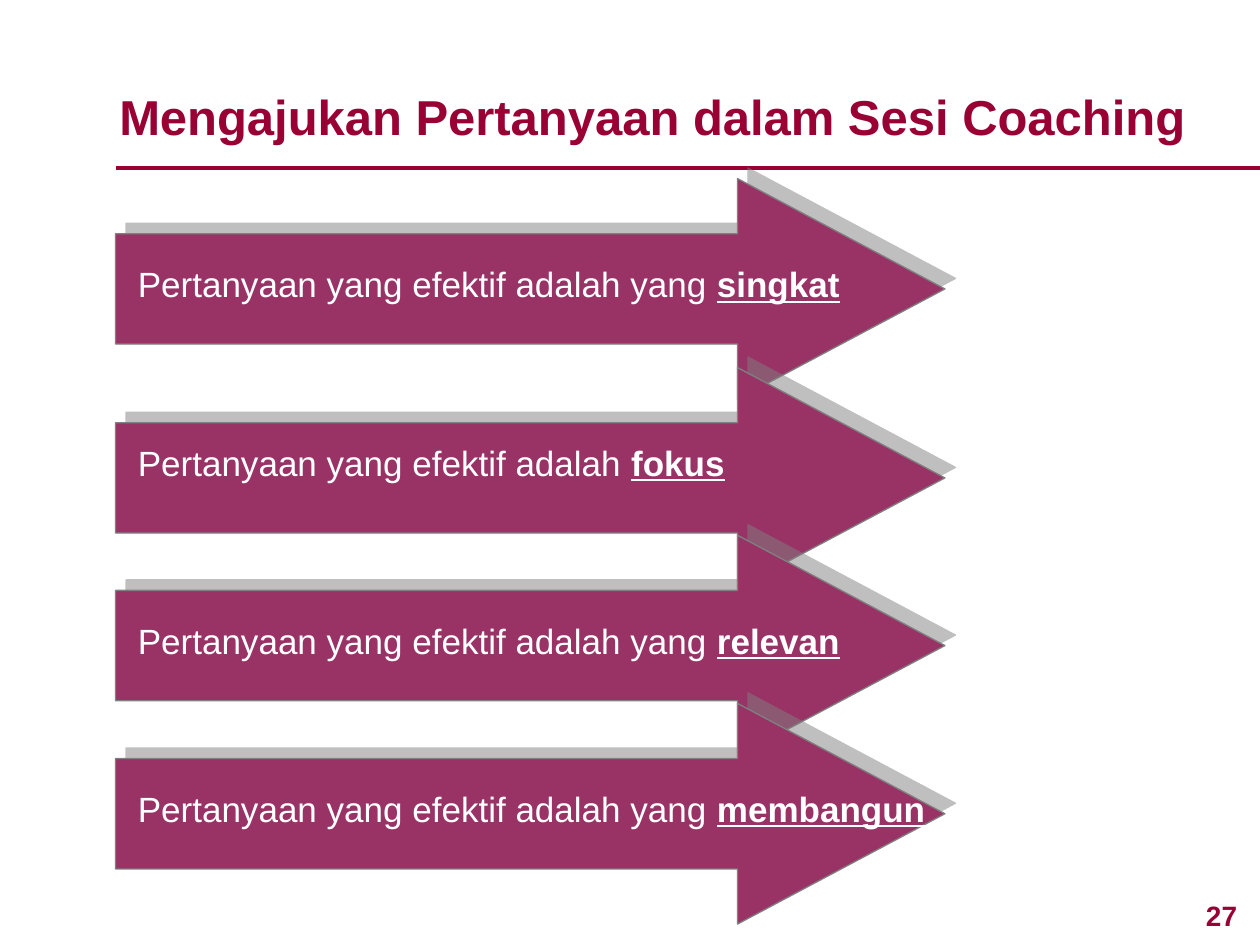
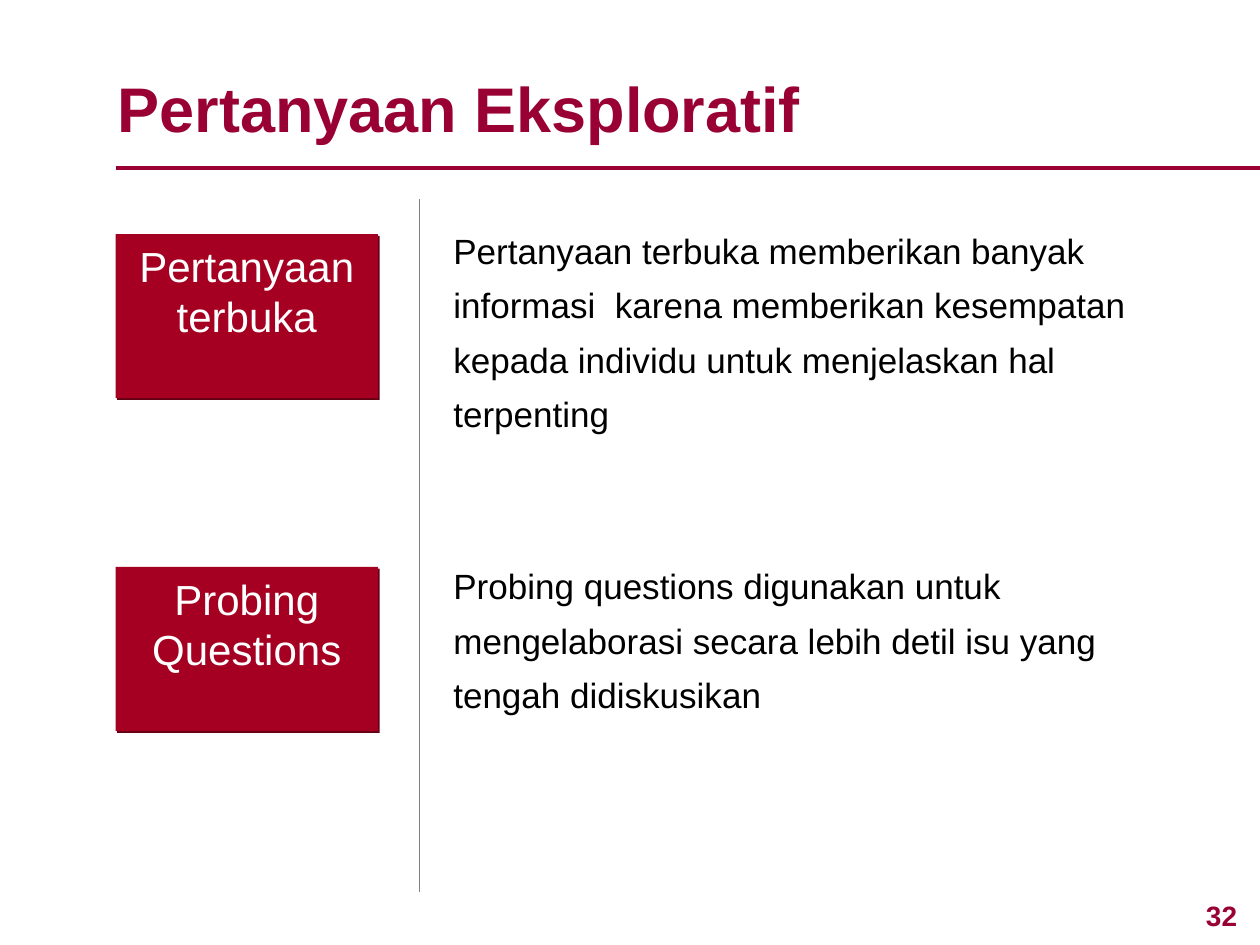
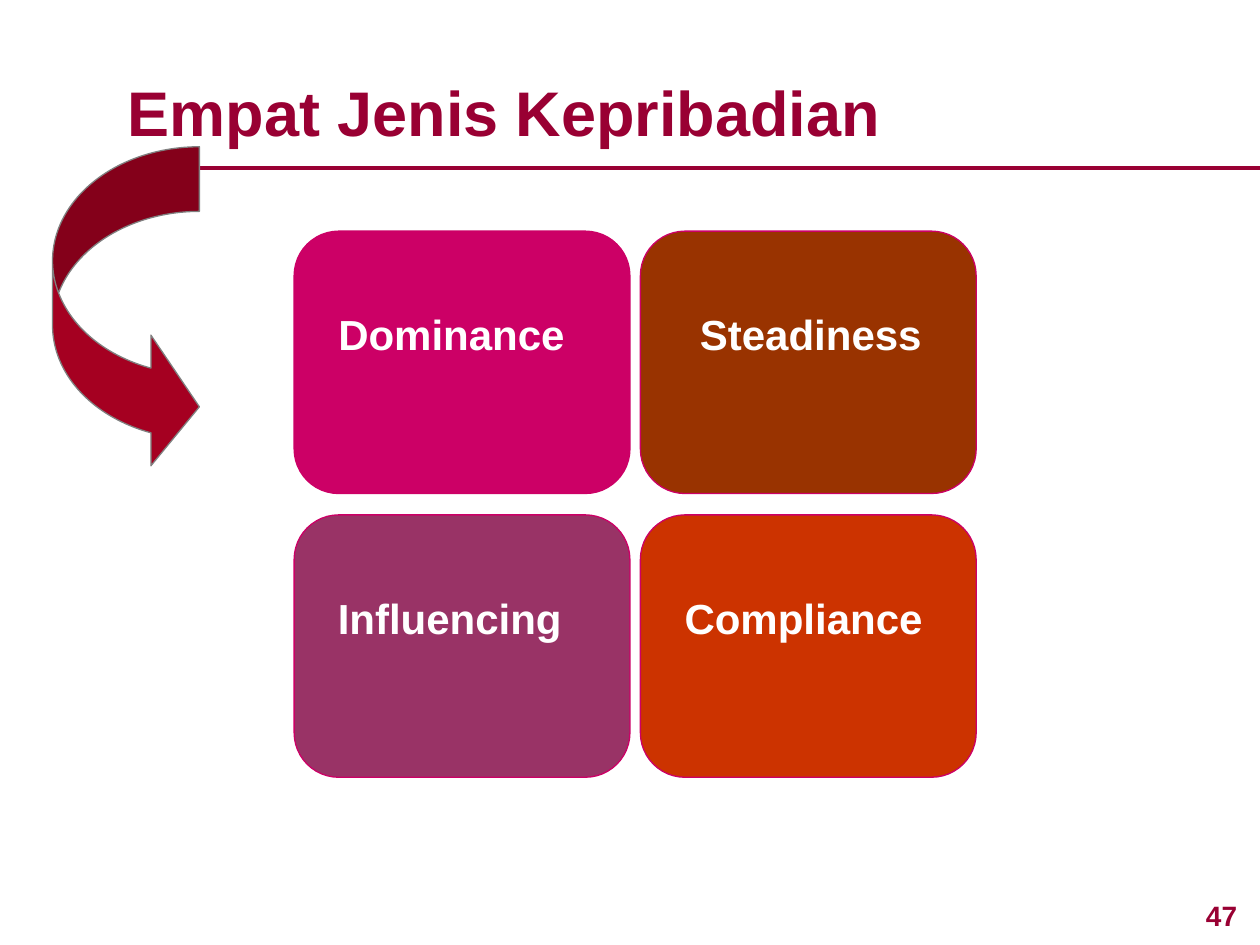
from lxml.etree import SubElement
from pptx import Presentation
from pptx.dml.color import RGBColor
from pptx.enum.shapes import MSO_CONNECTOR, MSO_SHAPE
from pptx.enum.text import MSO_ANCHOR, MSO_AUTO_SIZE, PP_ALIGN
from pptx.oxml.ns import qn
from pptx.util import Cm, Pt

# Colours and font
FONT = "Arial"
MAROON = RGBColor(0x99, 0x00, 0x33)
CRIMSON = RGBColor(0xA5, 0x00, 0x21)
DARK_CRIMSON = RGBColor(0x63, 0x00, 0x14)
PLUM = RGBColor(0x99, 0x33, 0x66)
MAGENTA = RGBColor(0xCC, 0x00, 0x66)
BROWN = RGBColor(0x99, 0x33, 0x00)
ORANGE = RGBColor(0xCC, 0x33, 0x00)
GREY = RGBColor(0x80, 0x80, 0x80)
WHITE = RGBColor(0xFF, 0xFF, 0xFF)
BLACK = RGBColor(0x00, 0x00, 0x00)

# Content; all lengths are centimetres
LEFT_EDGE = 2.33
THIN_LINE = 0.74
TITLE_ONLY_LAYOUT = 5

# Opening words, stressed word, arrow top, text top, text width
QUESTION_ARROWS = [
    ("Pertanyaan yang efektif adalah yang ", "singkat", 3.6, 5.16, 14.66),
    ("Pertanyaan yang efektif adalah ", "fokus", 7.41, 8.76, 12.36),
    ("Pertanyaan yang efektif adalah yang ", "relevan", 10.79, 12.35, 14.66),
    ("Pertanyaan yang efektif adalah yang ", "membangun", 14.18, 15.74, 16.38),
]

# Term, explanation, top of the term box, top of the explanation
QUESTION_TYPES = [
    ("Pertanyaan terbuka",
     "Pertanyaan terbuka memberikan banyak informasi  karena memberikan "
     "kesempatan kepada individu untuk menjelaskan hal terpenting", 4.72, 4.24),
    ("Probing Questions",
     "Probing questions digunakan untuk mengelaborasi secara lebih detil isu "
     "yang tengah didiskusikan", 11.43, 11),
]

# Name, fill, column, row, label left, label width
PERSONALITIES = [
    ("Dominance", MAGENTA, 0, 0, 6.57, 5.09),
    ("Influencing", PLUM, 0, 1, 6.56, 5.05),
    ("Steadiness", BROWN, 1, 0, 13.86, 4.99),
    ("Compliance", ORANGE, 1, 1, 13.55, 5.32),
]


# Helpers
def add_run(paragraph, text, size, color, bold=False, underline=False):
    run = paragraph.add_run()
    run.text = text
    font = run.font
    font.name, font.size, font.bold = FONT, Pt(size), bold
    font.color.rgb = color
    if underline:
        font.underline = True


def add_text_box(slide, left, top, width, height, wrap=True, anchor=MSO_ANCHOR.TOP):
    """Add an empty text box and return its first paragraph."""
    box = slide.shapes.add_textbox(Cm(left), Cm(top), Cm(width), Cm(height))
    frame = box.text_frame
    frame.word_wrap = wrap
    frame.auto_size = MSO_AUTO_SIZE.SHAPE_TO_FIT_TEXT
    frame.vertical_anchor = anchor
    return frame.paragraphs[0]


def add_preset(slide, preset, left, top, width, height, fill, line=None, adjustments=()):
    shape = slide.shapes.add_shape(preset, Cm(left), Cm(top), Cm(width), Cm(height))
    shape.shadow.inherit = False
    shape.fill.solid()
    shape.fill.fore_color.rgb = fill
    if line is None:
        shape.line.fill.background()
    else:
        shape.line.color.rgb = line
        shape.line.width = Pt(THIN_LINE)
    for index, value in enumerate(adjustments):
        shape.adjustments[index] = value
    return shape


def add_shadow(shape, color, opacity, distance, angle):
    effects = shape.element.spPr.find(qn("a:effectLst"))
    shadow = SubElement(effects, qn("a:outerShdw"), dist=str(Pt(distance)),
                        dir=str(angle * 60000), algn="ctr", rotWithShape="0")
    shade = SubElement(shadow, qn("a:srgbClr"), val=str(color))
    SubElement(shade, qn("a:alpha"), val=str(opacity * 1000))


def add_line(slide, start, end, color, width):
    line = slide.shapes.add_connector(
        MSO_CONNECTOR.STRAIGHT, *(Cm(value) for value in start + end))
    line.line.color.rgb = color
    line.line.width = Pt(width)
    SubElement(line.element.spPr, qn("a:effectLst"))
    return line


def add_slide(title, number, place, size, wrap=True, line_spacing=1.0):
    """Add a slide with its title and page number."""
    slide = presentation.slides.add_slide(layout)
    heading = slide.shapes.title
    heading.left, heading.top, heading.width, heading.height = map(Cm, place)
    frame = heading.text_frame
    frame.word_wrap = wrap
    frame.auto_size = MSO_AUTO_SIZE.NONE
    frame.vertical_anchor = MSO_ANCHOR.TOP
    paragraph = frame.paragraphs[0]
    paragraph.alignment = PP_ALIGN.LEFT
    paragraph.line_spacing = line_spacing
    add_run(paragraph, title, size, MAROON, bold=True)

    paragraph = add_text_box(slide, 23.85, 17.98, 1.55, 0.94)
    paragraph.alignment = PP_ALIGN.CENTER
    add_run(paragraph, str(number), 16, MAROON, bold=True)
    return slide


presentation = Presentation()
presentation.slide_width, presentation.slide_height = Cm(25.4), Cm(19.05)
layout = presentation.slide_layouts[TITLE_ONLY_LAYOUT]

# Slide 1: four question arrows, then their texts on top
slide = add_slide("Mengajukan Pertanyaan dalam Sesi Coaching", 27,
                  (2.15, 1.61, 22, 1.45), 28, wrap=False)

# The rule under the title belongs to the layout, so every slide shows it
rule = add_line(slide, (LEFT_EDGE, 3.39), (25.4, 3.39), MAROON, 2.24)
layout.shapes.element.append(rule.element)

for _, _, arrow_top, _, _ in QUESTION_ARROWS:
    arrow = add_preset(slide, MSO_SHAPE.RIGHT_ARROW, LEFT_EDGE, arrow_top, 16.72, 4.45,
                       PLUM, GREY, (0.5, 0.94))
    add_shadow(arrow, GREY, 50, 8.5, 315)
for opening, stressed, _, text_top, text_width in QUESTION_ARROWS:
    paragraph = add_text_box(slide, 2.53, text_top, text_width, 1.12,
                             wrap=False, anchor=MSO_ANCHOR.MIDDLE)
    add_run(paragraph, opening, 20, WHITE)
    add_run(paragraph, stressed, 20, WHITE, bold=True, underline=True)

# Slide 2: terms on the left, explanations on the right
slide = add_slide("Pertanyaan Eksploratif", 32, (2.12, 1.27, 18.2, 1.78), 36)
for term, explanation, box_top, text_top in QUESTION_TYPES:
    box = add_preset(slide, MSO_SHAPE.RECTANGLE, LEFT_EDGE, box_top, 5.29, 3.31, CRIMSON)
    add_shadow(box, DARK_CRIMSON, 100, 1.4, 45)
    box.text_frame.word_wrap = True
    box.text_frame.vertical_anchor = MSO_ANCHOR.TOP
    paragraph = box.text_frame.paragraphs[0]
    paragraph.alignment = PP_ALIGN.CENTER
    add_run(paragraph, term, 24, WHITE)

    paragraph = add_text_box(slide, 8.89, text_top, 15.67, 4.67)
    paragraph.line_spacing = 1.3
    add_run(paragraph, explanation, 20, BLACK)
add_line(slide, (8.46, 4.02), (8.46, 17.99), GREY, THIN_LINE)

# Slide 3: curved arrow and a two by two grid of personalities
slide = add_slide("Empat Jenis Kepribadian", 47, (2.32, 1.06, 22.43, 2.08), 36,
                  line_spacing=1.2)
add_preset(slide, MSO_SHAPE.CURVED_RIGHT_ARROW, 1.06, 2.96, 2.96, 6.56,
           CRIMSON, GREY, (0.44, 0.89, 0.33))

GRID_LEFT, GRID_TOP = 5.93, 4.66
CARD_WIDTH, CARD_HEIGHT = 6.77, 5.29
COLUMN_GAP, ROW_GAP = 0.21, 0.43
for name, fill, column, row, label_left, label_width in PERSONALITIES:
    left = GRID_LEFT + column * (CARD_WIDTH + COLUMN_GAP)
    top = GRID_TOP + row * (CARD_HEIGHT + ROW_GAP)
    add_preset(slide, MSO_SHAPE.ROUNDED_RECTANGLE, left, top, CARD_WIDTH, CARD_HEIGHT,
               fill, MAGENTA, (0.17,))
    paragraph = add_text_box(slide, label_left, top + 1.44, label_width, 1.27, wrap=False)
    add_run(paragraph, name, 24, WHITE, bold=True)

presentation.save("out.pptx")
